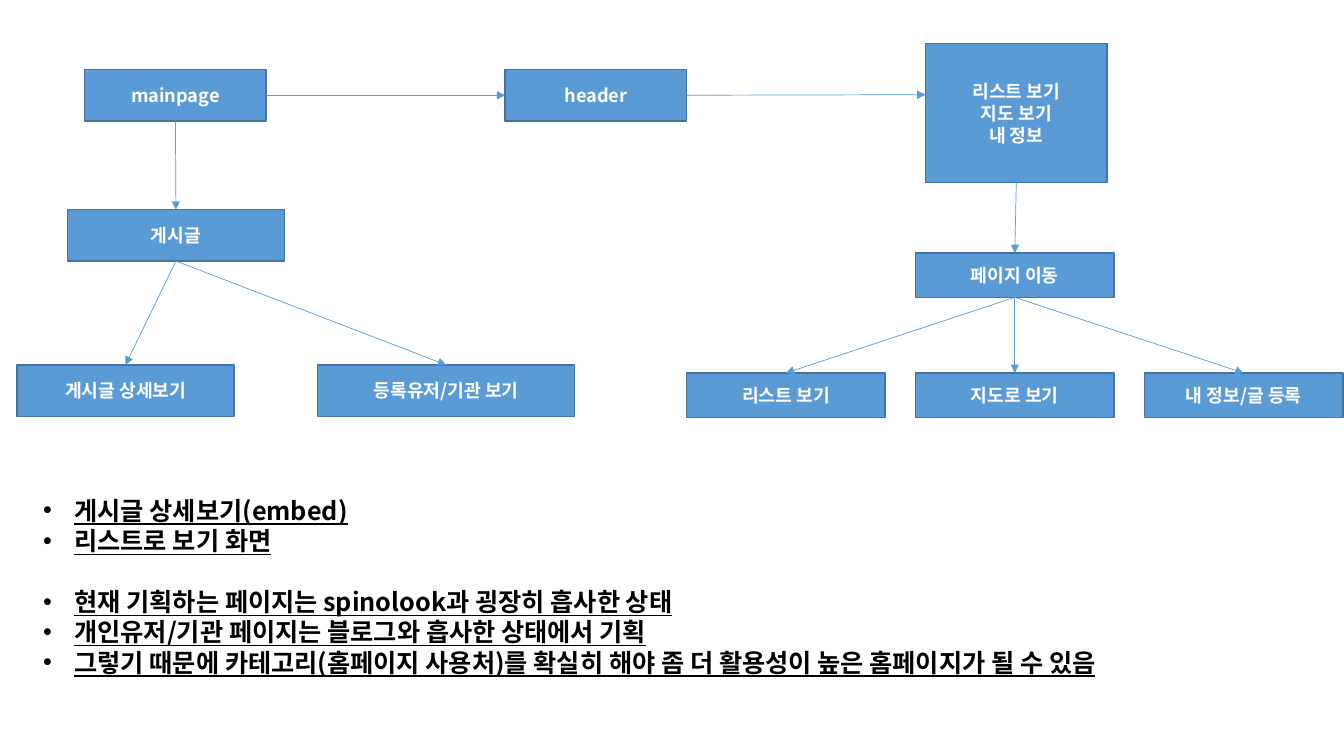
import pptx
import pptx.dml.color
import pptx.enum.shapes
import pptx.enum.text
import pptx.oxml.ns
import pptx.util
from lxml import etree
from pptx.util import Inches

TOP, LEFT, BOTTOM, RIGHT = range(4)


def color(value):
    return pptx.dml.color.RGBColor.from_string(value)


def add_element(parent, tag, **attributes):
    return etree.SubElement(parent, pptx.oxml.ns.qn(tag), **attributes)


class SiteMap:
    font = "Noto Sans CJK KR"
    fill = "5B9BD5"
    outline = "43739E"

    def __init__(self, slide):
        self.slide = slide

    def add_text(self, paragraph, text, size, text_color, spacing, underline=None):
        paragraph.line_spacing = pptx.util.Pt(spacing)
        run = paragraph.add_run()
        run.text = text
        run.font.size = pptx.util.Pt(size)
        run.font.bold = True
        run.font.underline = underline
        run.font.color.rgb = color(text_color)
        run.font.name = self.font
        add_element(run._r.get_or_add_rPr(), "a:ea", typeface=self.font)

    def box(self, left, top, width, height, *lines):
        shape = self.slide.shapes.add_shape(
            pptx.enum.shapes.MSO_SHAPE.RECTANGLE,
            Inches(left), Inches(top), Inches(width), Inches(height))
        shape.shadow.inherit = False
        shape.fill.solid()
        shape.fill.fore_color.rgb = color(self.fill)
        shape.line.color.rgb = color(self.outline)
        shape.line.width = pptx.util.Pt(1)
        frame = shape.text_frame
        frame.word_wrap = True
        frame.vertical_anchor = pptx.enum.text.MSO_ANCHOR.MIDDLE
        for index, line in enumerate(lines):
            paragraph = frame.add_paragraph() if index else frame.paragraphs[0]
            paragraph.alignment = pptx.enum.text.PP_ALIGN.CENTER
            self.add_text(paragraph, line, 13, "FFFFFF", 15.7)
        return shape

    def arrow(self, begin, begin_side, end, end_side=None):
        point = (0, 0) if end_side is not None else end
        connector = self.slide.shapes.add_connector(
            pptx.enum.shapes.MSO_CONNECTOR.STRAIGHT,
            0, 0, Inches(point[0]), Inches(point[1]))
        connector.begin_connect(begin, begin_side)
        if end_side is not None:
            connector.end_connect(end, end_side)
        connector.line.color.rgb = color(self.fill)
        connector.line.width = pptx.util.Pt(0.5)
        properties = connector._element.spPr
        add_element(properties.get_or_add_ln(), "a:tailEnd", type="triangle")
        add_element(properties, "a:effectLst")

    def bullets(self, left, top, width, height, groups):
        shape = self.slide.shapes.add_textbox(
            Inches(left), Inches(top), Inches(width), Inches(height))
        frame = shape.text_frame
        frame.word_wrap = True
        frame.auto_size = pptx.enum.text.MSO_AUTO_SIZE.SHAPE_TO_FIT_TEXT
        paragraph = None
        for group in groups:
            for index, line in enumerate(group):
                first = paragraph is None
                paragraph = frame.paragraphs[0] if first else frame.add_paragraph()
                if index == 0 and not first:
                    paragraph.space_before = pptx.util.Pt(21.7)
                self.add_text(paragraph, line, 18, "000000", 21.7, True)
                properties = paragraph._p.get_or_add_pPr()
                properties.set("marL", str(Inches(0.31)))
                properties.set("indent", str(Inches(-0.31)))
                add_element(properties, "a:buFont", typeface="Arial")
                add_element(properties, "a:buChar", char="•")


def main():
    presentation = pptx.Presentation()
    presentation.slide_width = Inches(13.33)
    presentation.slide_height = Inches(7.5)
    site_map = SiteMap(presentation.slides.add_slide(presentation.slide_layouts[6]))

    main_page = site_map.box(0.84, 0.69, 1.8, 0.51, "mainpage")
    header = site_map.box(5.01, 0.69, 1.8, 0.51, "header")
    menu = site_map.box(9.18, 0.43, 1.8, 1.38, "리스트 보기", "지도 보기", "내 정보")
    post = site_map.box(0.67, 2.08, 2.15, 0.51, "게시글")
    page_move = site_map.box(9.08, 2.51, 1.97, 0.44, "페이지 이동")

    post_pages = [
        site_map.box(0.17, 3.62, 2.15, 0.51, "게시글 상세보기"),
        site_map.box(3.15, 3.62, 2.55, 0.51, "등록유저/기관 보기"),
    ]
    menu_pages = [
        site_map.box(6.81 + 2.27 * index, 3.7, 1.97, 0.44, label)
        for index, label in enumerate(("리스트 보기", "지도로 보기", "내 정보/글 등록"))
    ]

    site_map.arrow(main_page, RIGHT, header, LEFT)
    site_map.arrow(header, RIGHT, (9.18, 0.94))
    for parent, children in ((main_page, [post]), (post, post_pages),
                             (menu, [page_move]), (page_move, menu_pages)):
        for child in children:
            site_map.arrow(parent, BOTTOM, child, TOP)

    site_map.bullets(0.33, 4.86, 12.01, 1.92, (
        ("게시글 상세보기(embed)", "리스트로 보기 화면"),
        ("현재 기획하는 페이지는 spinolook과 굉장히 흡사한 상태",
         "개인유저/기관 페이지는 블로그와 흡사한 상태에서 기획",
         "그렇기 때문에 카테고리(홈페이지 사용처)를 확실히 해야 좀 더 활용성이 높은 홈페이지가 될 수 있음"),
    ))
    presentation.save("out.pptx")


if __name__ == "__main__":
    main()
